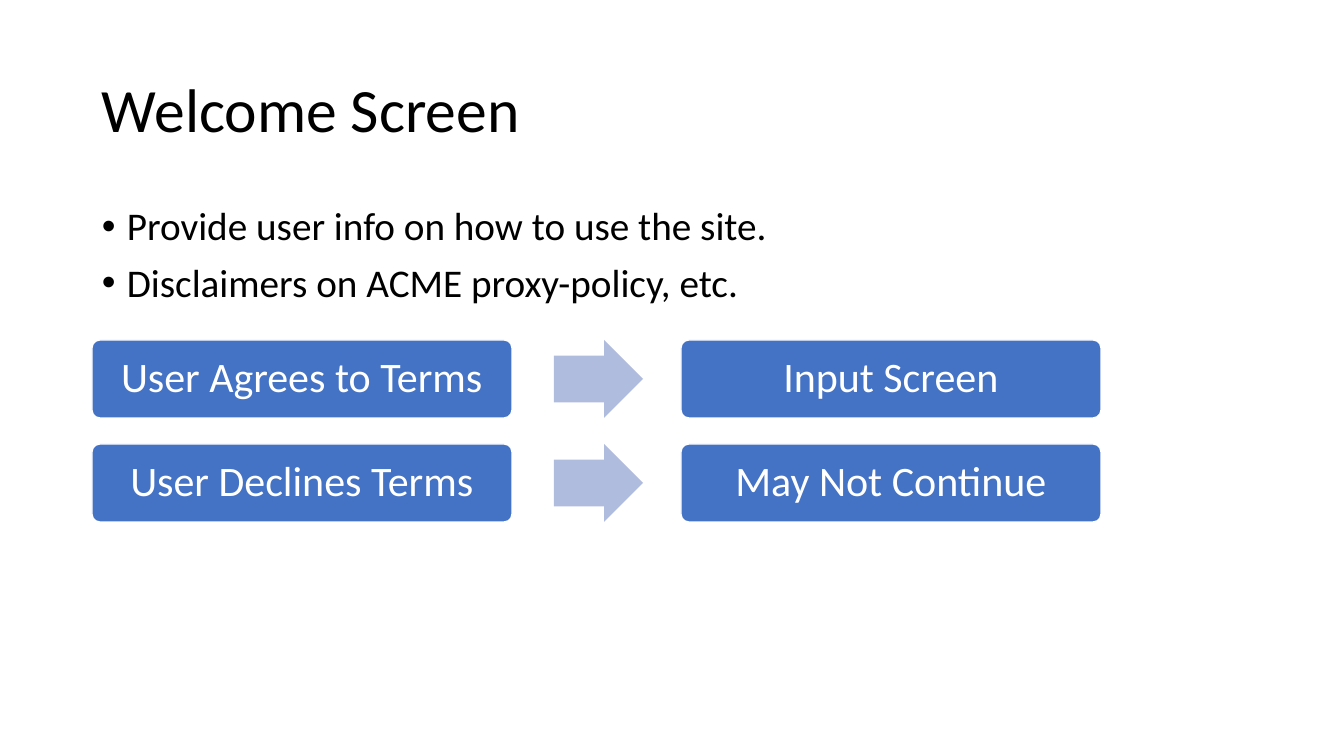
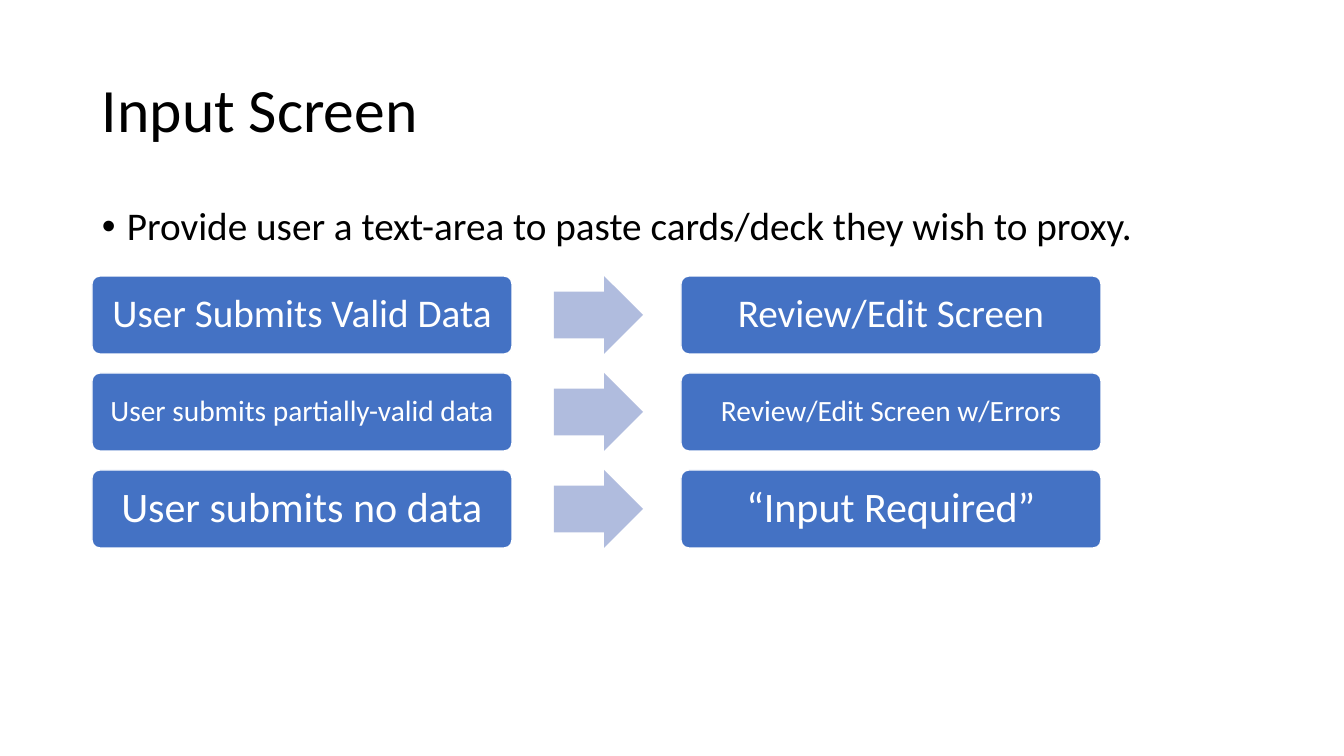
from lxml.etree import SubElement
from pptx import Presentation
from pptx.dml.color import RGBColor
from pptx.enum.shapes import MSO_SHAPE
from pptx.enum.text import MSO_ANCHOR, PP_ALIGN
from pptx.oxml.ns import qn
from pptx.util import Pt

PX = 914400 / 100.8
FONT = "Calibri"
BLACK, WHITE, BLUE, PALE_BLUE = "000000", "FFFFFF", "4472C4", "B0BCDE"

LEFT, TEXT_W = 92, 1159
BOX_W, BOX_H = 420, 78
ARROW_X, ARROW_W = 554, 89
RESULT_X = 681
BULLET_INDENT = 25

# title, bullets, top of first row, row pitch, rows of (action, result, size, inset)
SLIDES = [
    ("Welcome Screen",
     ["Provide user info on how to use the site.",
      "Disclaimers on ACME proxy-policy, etc."],
     340, 104,
     [("User Agrees to Terms", "Input Screen", 30, 12),
      ("User Declines Terms", "May Not Continue", 30, 12)]),
    ("Input Screen",
     ["Provide user a text-area to paste cards/deck they wish to proxy."],
     276, 97,
     [("User Submits Valid Data", "Review/Edit Screen", 28, 12),
      ("User submits partially-valid data", "Review/Edit Screen w/Errors", 21, 9),
      ("User submits no data", "“Input Required”", 30, 12)]),
]


def px(n):
    return round(n * PX)


def add(s, x, y, w, h, lines=(), shape=None, adj=(), fill=None, line=None, size=28,
        color=BLACK, align=PP_ALIGN.LEFT, anchor=MSO_ANCHOR.MIDDLE, inset=None,
        before=0, bullet=False):
    """Add a text box, or a preset shape, with one paragraph for each line of text."""
    at = [px(n) for n in (x, y, w, h)]
    if shape is None:
        sp = s.shapes.add_textbox(*at)
    else:
        sp = s.shapes.add_shape(shape, *at)
        sp.shadow.inherit = False
        for i, value in enumerate(adj):
            sp.adjustments[i] = value
        sp.fill.solid()
        sp.fill.fore_color.rgb = RGBColor.from_string(fill)
        if line:
            sp.line.color.rgb = RGBColor.from_string(line)
            sp.line.width = Pt(1)
        else:
            sp.line.fill.background()
    tf = sp.text_frame
    tf.word_wrap = True
    tf.vertical_anchor = anchor
    if inset is not None:
        tf.margin_left = tf.margin_right = tf.margin_top = tf.margin_bottom = px(inset)
    for i, text in enumerate(lines):
        p = tf.add_paragraph() if i else tf.paragraphs[0]
        p.alignment = align
        p.line_spacing = 0.9
        p.space_before = Pt(before)
        if bullet:
            pPr = p._p.get_or_add_pPr()
            pPr.set("marL", str(px(BULLET_INDENT)))
            pPr.set("indent", str(-px(BULLET_INDENT)))
            SubElement(pPr, qn("a:buFont"), typeface="Arial")
            SubElement(pPr, qn("a:buChar"), char="•")
        r = p.add_run()
        r.text = text
        r.font.name = FONT
        r.font.size = Pt(size)
        r.font.color.rgb = RGBColor.from_string(color)


prs = Presentation()
prs.slide_width, prs.slide_height = px(1344), px(756)

for title, bullets, top, pitch, rows in SLIDES:
    s = prs.slides.add_slide(prs.slide_layouts[6])
    add(s, LEFT, 40, TEXT_W, 146, [title], size=44)
    add(s, LEFT, 202, TEXT_W, 480, bullets, anchor=MSO_ANCHOR.TOP, before=10, bullet=True)
    for i, (action, result, size, inset) in enumerate(rows):
        y = top + i * pitch
        for x, text in ((LEFT, action), (RESULT_X, result)):
            add(s, x, y, BOX_W, BOX_H, [text], shape=MSO_SHAPE.ROUNDED_RECTANGLE,
                adj=[0.1], fill=BLUE, line=WHITE, size=size, color=WHITE,
                align=PP_ALIGN.CENTER, inset=inset)
        add(s, ARROW_X, y, ARROW_W, BOX_H, shape=MSO_SHAPE.RIGHT_ARROW,
            adj=[0.6, 0.5], fill=PALE_BLUE)

prs.save("out.pptx")
